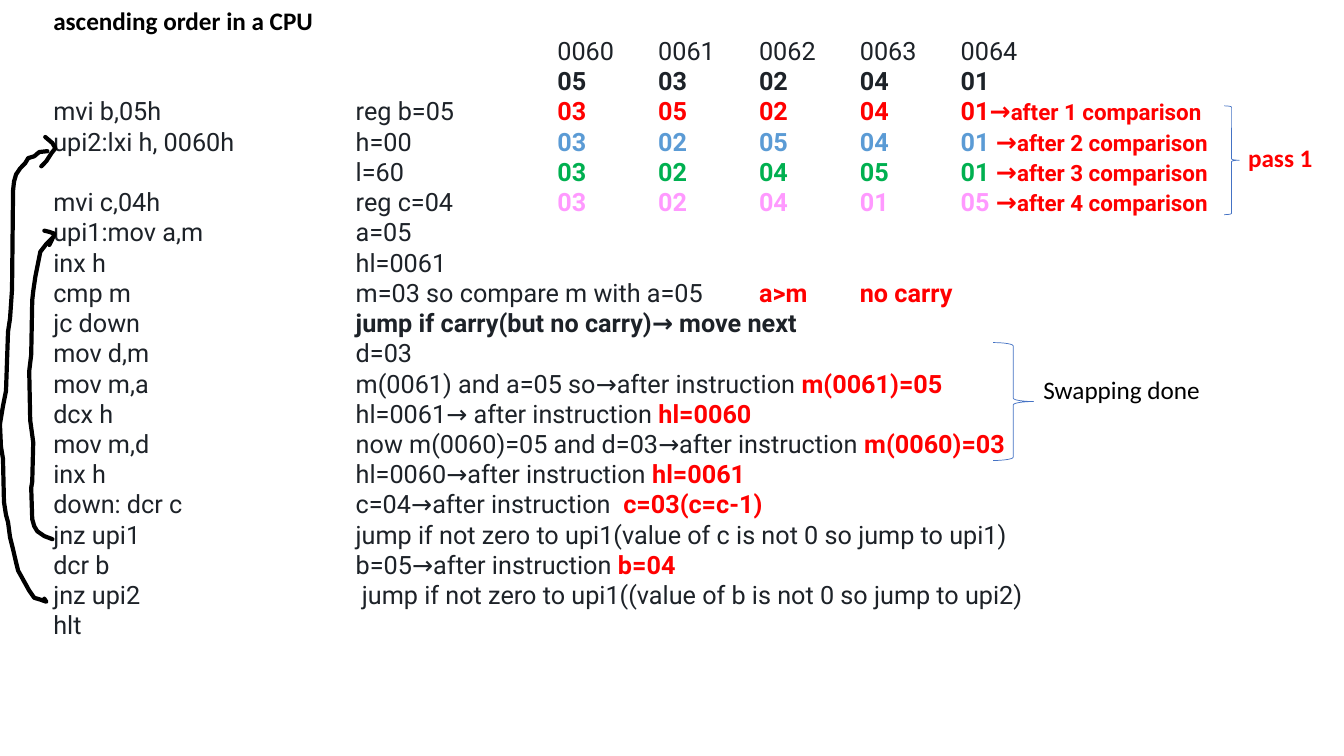
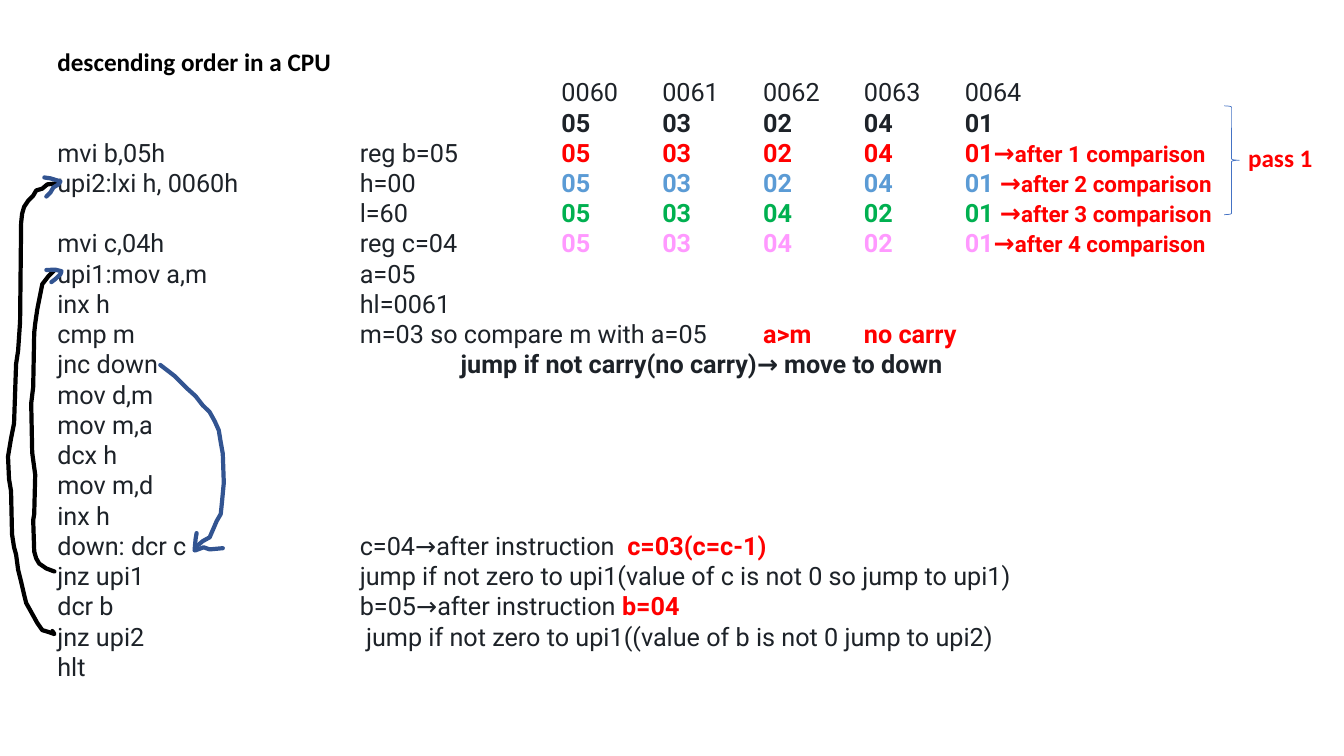
import pptx
import pptx.util
import pptx.dml.color
import pptx.enum.shapes
import pptx.enum.text
import pptx.oxml
import pptx.oxml.ns


def rgb(value):
    return pptx.dml.color.RGBColor.from_string(value)


class Board:
    """Draws listings, notes and ink on a grid of one-inch columns and text-line rows."""

    COLUMN, ROW = pptx.util.Inches(1), pptx.util.Inches(0.3)
    BLACK, RED, BRACE, NAVY = "000000", "FF0000", "4472C4", "325491"
    STYLES = {
        "title": ("Calibri", 18, BLACK, True),
        "label": ("Calibri", 18, BLACK, False),
        "pass": ("Calibri", 18, RED, True),
        "plain": ("Roboto", 18, "1D2228", False),
        "bold": ("Roboto", 18, "1D2228", True),
        "red": ("Roboto", 18, RED, True),
        "step": ("Roboto", 16, RED, True),
        "blue": ("Roboto", 18, "5B9BD5", True),
        "green": ("Roboto", 18, "00B050", True),
        "pink": ("Roboto", 18, "FF99FF", True),
    }
    STOPS = (3, 5, 6, 7, 8, 9)

    def __init__(self):
        self.deck = pptx.Presentation()
        self.deck.slide_width = pptx.util.Inches(13.33)
        self.deck.slide_height = pptx.util.Inches(7.5)
        self.slide = None

    def new_slide(self):
        self.slide = self.deck.slides.add_slide(self.deck.slide_layouts[6])

    def place(self, column, row):
        return round(column * self.COLUMN), round(row * self.ROW)

    def set_stops(self, paragraph, stops):
        tabs = pptx.oxml.parse_xml(f"<a:tabLst {pptx.oxml.ns.nsdecls('a')}/>")
        for stop in stops:
            tab = tabs.makeelement(pptx.oxml.ns.qn("a:tab"),
                                   {"pos": str(stop * self.COLUMN), "algn": "l"})
            tabs.append(tab)
        paragraph._p.get_or_add_pPr().append(tabs)

    def text(self, column, row, columns, rows, lines):
        box = self.slide.shapes.add_textbox(*self.place(column, row), *self.place(columns, rows))
        frame = box.text_frame
        frame.word_wrap = True
        frame.auto_size = pptx.enum.text.MSO_AUTO_SIZE.SHAPE_TO_FIT_TEXT
        for index, (stops, pieces) in enumerate(lines):
            paragraph = frame.add_paragraph() if index else frame.paragraphs[0]
            if stops:
                self.set_stops(paragraph, stops)
            for words, style in pieces:
                run = paragraph.add_run()
                run.text = words
                name, size, colour, bold = self.STYLES[style]
                run.font.name, run.font.bold = name, bold
                run.font.size = pptx.util.Pt(size)
                run.font.color.rgb = rgb(colour)

    def label(self, column, row, columns, words, style):
        self.text(column, row, columns, 1.33, [((), [(words, style)])])

    def outline(self, shape, colour, width):
        shape.shadow.inherit = False
        shape.fill.background()
        shape.line.color.rgb = rgb(colour)
        shape.line.width = pptx.util.Pt(width)

    def brace(self, column, row, columns, rows):
        brace = self.slide.shapes.add_shape(
            pptx.enum.shapes.MSO_SHAPE.RIGHT_BRACE,
            *self.place(column, row), *self.place(columns, rows))
        self.outline(brace, self.BRACE, 0.5)

    def ink(self, points, colour, shift=(0, 0)):
        start, *rest = [self.place(x + shift[0], y + shift[1]) for x, y in points]
        builder = self.slide.shapes.build_freeform(*start)
        builder.add_line_segments(rest, close=False)
        stroke = builder.convert_to_shape()
        self.outline(stroke, colour, 3)
        line = stroke.element.spPr.find(pptx.oxml.ns.qn("a:ln"))
        line.set("cap", "rnd")
        line.append(line.makeelement(pptx.oxml.ns.qn("a:round"), {}))


INNER_LOOP = [
    (0.52, 7.87), (0.46, 8.07), (0.4, 8.33), (0.37, 8.83), (0.35, 9.17), (0.33, 9.63),
    (0.32, 9.93), (0.31, 11.73), (0.29, 12.27), (0.3, 13.9), (0.33, 14.63), (0.32, 15.93),
    (0.31, 16.13), (0.32, 17.17), (0.34, 17.4), (0.37, 17.57), (0.44, 17.73), (0.52, 17.83)]
OUTER_LOOP = [
    (0.47, 5), (0.39, 5.03), (0.34, 5.17), (0.28, 5.23), (0.25, 5.4), (0.2, 5.57),
    (0.16, 5.77), (0.14, 6), (0.13, 6.3), (0.12, 9.57), (0.1, 10.53), (0.08, 10.97),
    (0.06, 12.93), (0.03, 13.43), (0, 14.03), (0.01, 14.77), (0.03, 15.17), (0.04, 16.6),
    (0.06, 17.03), (0.08, 17.27), (0.1, 17.77), (0.13, 18.17), (0.16, 18.6), (0.18, 18.87),
    (0.24, 19.23), (0.29, 19.53), (0.34, 19.77), (0.4, 19.83), (0.46, 19.9), (0.44, 19.8)]
ASCENDING_HEADS = [
    [(0.44, 7.63), (0.49, 7.67), (0.54, 7.73), (0.53, 7.83), (0.49, 8.1)],
    [(0.45, 4.53), (0.52, 4.73), (0.55, 4.9), (0.51, 5.07), (0.46, 5.33), (0.41, 5.5)]]
DESCENDING_STROKES = [
    [(1.59, 12.07), (1.73, 12.43), (1.85, 12.83), (1.94, 13.1), (2.01, 13.4), (2.08, 13.63),
     (2.13, 13.93), (2.17, 14.23), (2.19, 14.63), (2.21, 15), (2.22, 15.97), (2.2, 16.67),
     (2.19, 17), (2.15, 17.23), (2.08, 17.77), (2.01, 17.9), (1.95, 18.07)],
    [(1.93, 18.2), (1.94, 17.83), (1.95, 17.63)],
    [(1.94, 18.2), (2.02, 18.1), (2.08, 18.17), (2.21, 18.13)],
    [(0.44, 5.87), (0.5, 5.9), (0.6, 6), (0.58, 6.1), (0.53, 6.2), (0.5, 6.37), (0.46, 6.5)],
    [(0.46, 8.93), (0.55, 8.92), (0.61, 8.97), (0.6, 9.07), (0.55, 9.23), (0.51, 9.33)]]

SETUP = [("mvi b,05h\treg b=05", "red"), ("upi2:lxi h, 0060h\th=00", "blue"),
         ("\tl=60", "green"), ("mvi c,04h\treg c=04", "pink")]
SWAP = [("mov d,m", "d=03", ""),
        ("mov m,a", "m(0061) and a=05 so→after instruction ", "m(0061)=05"),
        ("dcx h", "hl=0061→ after instruction ", "hl=0060"),
        ("mov m,d", "now m(0060)=05 and d=03→after instruction ", "m(0060)=03"),
        ("inx h", "hl=0060→after instruction ", "hl=0061")]


def tabbed(values):
    return "\t".join(values.split())


def line(code, note="", result=""):
    pieces = [(f"{code}\t{note}" if note else code, "plain")]
    if result:
        pieces.append((result, "red"))
    return Board.STOPS, pieces


def listing(title, trace, jump, swap, last_note):
    rows = [((), [(title, "title")]),
            line("\t\t" + tabbed("0060 0061 0062 0063 0064")),
            (Board.STOPS, [("\t\t" + tabbed("05 03 02 04 01"), "bold")])]
    for step, ((code, style), (values, gap)) in enumerate(zip(SETUP, trace), 1):
        rows.append((Board.STOPS, [
            (code + "\t", "plain"), (tabbed(values) + gap, style),
            ("→", "red"), (f"after {step} comparison", "step")]))
    rows += [line("upi1:mov a,m", "a=05"), line("inx h", "hl=0061"),
             line("cmp m", "m=03 so compare m with a=05\t", "a>m\tno carry"), jump]
    rows += swap
    rows += [line("down: dcr c", "c=04→after instruction  ", "c=03(c=c-1)"),
             line("jnz upi1", "jump if not zero to upi1(value of c is not 0 so jump to upi1)"),
             line("dcr b", "b=05→after instruction ", "b=04"),
             line("jnz upi2", last_note), line("hlt")]
    return rows


def mark_pass(board):
    board.brace(12.14, 3.5, 0.15, 3.6)
    board.label(12.28, 4.53, 0.89, "pass 1", "pass")


def ascending(board):
    board.new_slide()
    board.text(0.43, 0, 12.81, 21.53, listing(
        "ascending order in a CPU",
        [("03 05 02 04 01", ""), ("03 02 05 04 01", " "),
         ("03 02 04 05 01", " "), ("03 02 04 01 05", " ")],
        (Board.STOPS, [("jc down\t", "plain"),
                       ("jump if carry(but no carry)→ move next", "bold")]),
        [line(*step) for step in SWAP],
        " jump if not zero to upi1((value of b is not 0 so jump to upi2)"))
    board.brace(9.85, 11.33, 0.4, 3.9)
    board.label(10.25, 12.2, 1.77, "Swapping done", "label")
    for stroke in [*ASCENDING_HEADS, INNER_LOOP, OUTER_LOOP]:
        board.ink(stroke, board.BLACK)
    mark_pass(board)


def descending(board):
    board.new_slide()
    board.text(0.47, 1.37, 12.81, 21.53, listing(
        "descending order in a CPU",
        [("05 03 02 04 01", ""), ("05 03 02 04 01", " "),
         ("05 03 04 02 01", " "), ("05 03 04 02 01", "")],
        ((4,), [("jnc down\t", "plain"),
                ("jump if not carry(no carry)→ move to down", "bold")]),
        [line(code) for code, *_ in SWAP],
        " jump if not zero to upi1((value of b is not 0 jump to upi2)"))
    board.ink(INNER_LOOP, board.BLACK, (0.02, 1.07))
    board.ink(OUTER_LOOP, board.BLACK, (0.08, 1.07))
    mark_pass(board)
    for stroke in DESCENDING_STROKES:
        board.ink(stroke, board.NAVY)


def main():
    board = Board()
    ascending(board)
    descending(board)
    board.deck.save("out.pptx")


if __name__ == "__main__":
    main()
